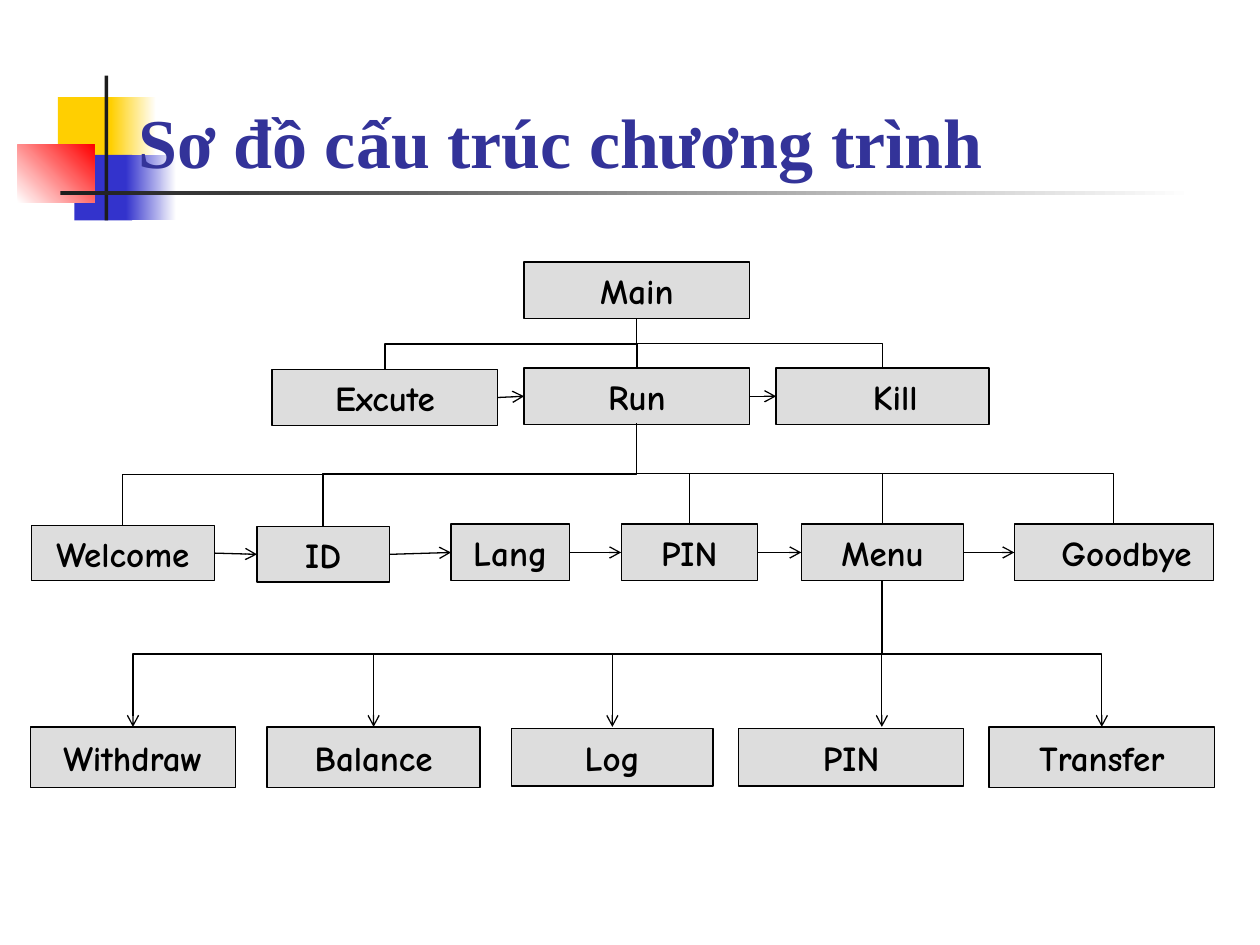
from lxml import etree
from pptx import Presentation
from pptx.dml.color import RGBColor
from pptx.enum.shapes import MSO_CONNECTOR as CONN, MSO_SHAPE as SHAPE
from pptx.enum.text import MSO_ANCHOR, MSO_AUTO_SIZE, PP_ALIGN
from pptx.oxml.ns import qn
from pptx.util import Inches, Pt

COLORS = {
    "yellow": "FFCF01", "blue": "3333CC", "red": "FF0000", "dark": "1C1C1C",
    "white": "FFFFFF", "title": "333399", "box": "DDDDDD", "black": "000000",
}


def rgb(name):
    return RGBColor.from_string(COLORS[name])


def connect(x1, y1, x2, y2, kind="line", arrow=False):
    """Line; "tree" runs down, across and down; "corner" runs across, then down."""
    cxn = s.shapes.add_connector(
        CONN.STRAIGHT if kind == "line" else CONN.ELBOW,
        Inches(x1), Inches(y1), Inches(x2), Inches(y2))
    cxn.line.color.rgb = rgb("black")
    cxn.line.width = Pt(0.75)
    sp_pr = cxn._element.spPr
    if kind == "corner":
        sp_pr.find(qn("a:prstGeom")).set("prst", "bentConnector2")
    elif kind == "tree":
        # A quarter turn about the centre makes the elbow leave vertically
        w, h = y2 - y1, abs(x2 - x1)
        cxn.left, cxn.top = Inches((x1 + x2 - w) / 2), Inches((y1 + y2 - h) / 2)
        cxn.width, cxn.height = Inches(w), Inches(h)
        xfrm = sp_pr.find(qn("a:xfrm"))
        xfrm.set("rot", "16200000" if x2 >= x1 else "5400000")
        xfrm.set("flipH", "1" if x2 >= x1 else "0")
    if arrow:
        etree.SubElement(cxn.line._get_or_add_ln(), qn("a:tailEnd")).set("type", "arrow")
    etree.SubElement(sp_pr, qn("a:effectLst"))


prs = Presentation()
prs.slide_width, prs.slide_height = Inches(10), Inches(7.5)
s = prs.slides.add_slide(prs.slide_layouts[5])

# Decoration behind the title: left, top, width, height, colours, angle
decoration = [
    (0.46, 0.77, 0.48, 0.52, ["yellow"], 0),
    (0.88, 0.77, 0.36, 0.52, ["yellow", "white"], 0),
    (0.59, 1.23, 0.46, 0.52, ["blue"], 0),
    (1.00, 1.23, 0.40, 0.52, ["blue", "white"], 0),
    (0.14, 1.15, 0.61, 0.46, ["white", "red"], 45),
    (0.83, 0.60, 0.03, 1.15, ["dark"], 0),
    (0.48, 1.52, 9.00, 0.03, ["dark", "white"], 0),
]
for x, y, w, h, colors, angle in decoration:
    sp = s.shapes.add_shape(SHAPE.RECTANGLE, Inches(x), Inches(y), Inches(w), Inches(h))
    sp.shadow.inherit = False
    sp.line.fill.background()
    if len(colors) == 1:
        sp.fill.solid()
        sp.fill.fore_color.rgb = rgb(colors[0])
    else:
        sp.fill.gradient()
        sp.fill.gradient_angle = angle
        for stop, color in zip(sp.fill.gradient_stops, colors):
            stop.color.rgb = rgb(color)

title = s.shapes.title
title.left, title.top, title.width, title.height = map(Inches, (1, 0.58, 8.75, 0.92))
s.shapes._spTree.append(title._element)  # bring in front of the decoration
tf = title.text_frame
tf.auto_size = MSO_AUTO_SIZE.NONE
tf.word_wrap = True
tf.vertical_anchor = MSO_ANCHOR.BOTTOM
p = tf.paragraphs[0]
p.alignment = PP_ALIGN.LEFT
r = p.add_run()
r.text = "Sơ đồ cấu trúc chương trình"
r.font.name, r.font.size, r.font.bold = "Times New Roman", Pt(40), True
r.font.color.rgb = rgb("title")

# Rows of modules: label, left, top, width, height
main_row = [("Main", 4.16, 2.08, 1.79, 0.45)]
state_row = [
    ("Excute", 2.16, 2.93, 1.79, 0.45),
    ("Run", 4.16, 2.92, 1.79, 0.45),
    ("Kill", 6.16, 2.92, 1.69, 0.45),
]
screen_row = [
    ("Welcome", 0.25, 4.17, 1.45, 0.44),
    ("ID", 2.04, 4.18, 1.05, 0.44),
    ("Lang", 3.58, 4.16, 0.94, 0.45),
    ("PIN", 4.93, 4.16, 1.08, 0.45),
    ("Menu", 6.36, 4.16, 1.29, 0.45),
    ("Goodbye", 8.05, 4.16, 1.58, 0.45),
]
menu_row = [
    ("Withdraw", 0.24, 5.77, 1.63, 0.48),
    ("Balance", 2.12, 5.77, 1.69, 0.48),
    ("Log", 4.06, 5.78, 1.60, 0.46),
    ("PIN", 5.86, 5.78, 1.79, 0.46),
    ("Transfer", 7.85, 5.77, 1.79, 0.48),
]
for label, x, y, w, h in main_row + state_row + screen_row + menu_row:
    sp = s.shapes.add_shape(SHAPE.RECTANGLE, Inches(x), Inches(y), Inches(w), Inches(h))
    sp.shadow.inherit = False
    sp.fill.solid()
    sp.fill.fore_color.rgb = rgb("box")
    sp.line.color.rgb = rgb("black")
    sp.line.width = Pt(0.75)
    tf = sp.text_frame
    tf.word_wrap = True
    tf.vertical_anchor = MSO_ANCHOR.MIDDLE
    if label in ("Kill", "Goodbye"):  # the last box of a row sets its label to the right
        tf.margin_left = Inches(0.3)
    p = tf.paragraphs[0]
    p.alignment = PP_ALIGN.CENTER
    r = p.add_run()
    r.text = label
    r.font.name, r.font.size, r.font.bold = "Comic Neue", Pt(20), True
    r.font.color.rgb = rgb("black")

# Sequence arrows between neighbours
for row in (state_row, screen_row):
    for (_, x1, y1, w1, h1), (_, x2, y2, w2, h2) in zip(row, row[1:]):
        connect(x1 + w1, y1 + h1 / 2, x2, y2 + h2 / 2, arrow=True)

# Main to its states
run_x, menu_x, bus_y = 5.05, 7, 3.76
for _, x, y, w, h in state_row:
    connect(run_x, 2.53, x + w / 2, y, "tree")

# Run to its screens: two full branches, the others leave the shared bus
for label, x, y, w, h in screen_row:
    if label in ("Welcome", "PIN"):
        connect(run_x, 3.36, x + w / 2, y, "tree")
    elif label != "Lang":
        start = menu_x if label == "Goodbye" else run_x
        connect(start, bus_y, x + w / 2, y, "corner")

# Menu to its functions; the PIN branch drops straight down
for label, x, y, w, h in menu_row:
    end = menu_x if label == "PIN" else x + w / 2
    connect(menu_x, 4.61, end, 5.77, "tree", arrow=True)

prs.save("out.pptx")
